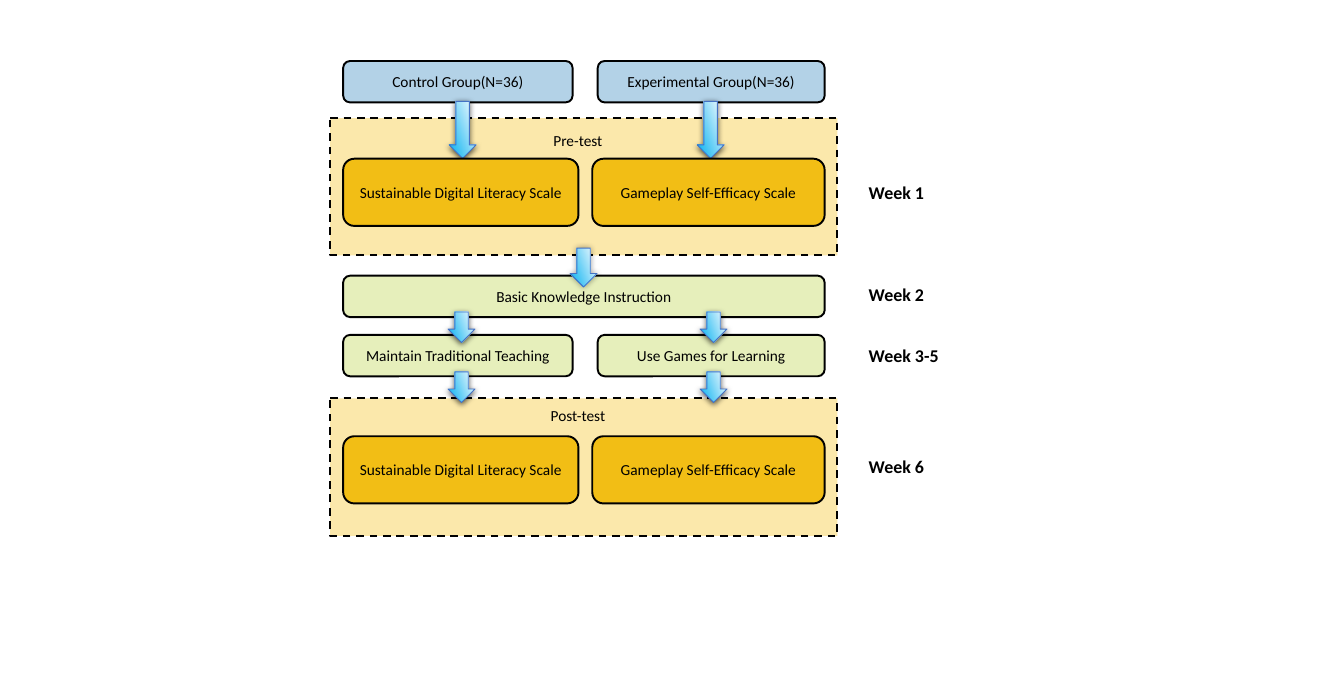
"""Build a slide showing the six-week experimental procedure."""
from dataclasses import dataclass

from lxml.etree import SubElement
from pptx import Presentation
from pptx.dml.color import RGBColor as Rgb
from pptx.enum.dml import MSO_LINE_DASH_STYLE as Dash
from pptx.enum.shapes import MSO_SHAPE as Preset
from pptx.enum.text import MSO_ANCHOR as Anchor, MSO_AUTO_SIZE as AutoSize, PP_ALIGN as Align
from pptx.oxml.ns import qn
from pptx.shapes.autoshape import Shape
from pptx.slide import Slide
from pptx.util import Cm, Pt


@dataclass(frozen=True)
class Theme:
    font: str = "Calibri"
    body_size: int = 12
    week_size: int = 14
    ink: str = "000000"
    group: str = "B3D2E7"
    panel: str = "FBE8AB"
    lesson: str = "E6EFBB"
    scale: str = "F2BE15"
    arrow_start: str = "FFFFFF"
    arrow_end: str = "00B0F0"
    arrow_line: str = "4472C4"


@dataclass(frozen=True)
class Shadow:
    opacity: int
    blur: float
    distance: float
    angle: int


@dataclass(frozen=True)
class Box:
    left: float
    top: float
    width: float
    height: float
    fill: str
    text: str = ""
    is_panel: bool = False


@dataclass(frozen=True)
class Arrow:
    left: float
    top: float
    height: float
    shadow: Shadow


@dataclass(frozen=True)
class Label:
    left: float
    top: float
    width: float
    text: str
    is_week: bool = False


THEME = Theme()
LEFT, RIGHT = 9.45, 22.71
STEP_HEIGHT, SCALE_HEIGHT, PANEL_HEIGHT = 1.14, 1.85, 3.78
ARROW_WIDTH, WEEK_LEFT = 0.74, 23.67
DROP, GLOW = Shadow(63, 4.5, 1.5, 90), Shadow(40, 5, 0, 0)

PANELS = [Box(9.09, top, 13.97, PANEL_HEIGHT, THEME.panel, is_panel=True) for top in (3.25, 10.97)]


def pair(top: float, height: float, widths: tuple[float, float], fill: str,
         texts: tuple[str, str]) -> list[Box]:
    """Return two boxes aligned to the outer edges of the flow."""
    lefts = (LEFT, RIGHT - widths[1])
    return [Box(left, top, width, height, fill, text)
            for left, width, text in zip(lefts, widths, texts)]


STEPS = [
    *pair(1.68, STEP_HEIGHT, (6.32, 6.25), THEME.group,
          ("Control Group(N=36)", "Experimental Group(N=36)")),
    Box(LEFT, 7.59, RIGHT - LEFT, STEP_HEIGHT, THEME.lesson, "Basic Knowledge Instruction"),
    *pair(9.22, STEP_HEIGHT, (6.32, 6.25), THEME.lesson,
          ("Maintain Traditional Teaching", "Use Games for Learning")),
]
SCALES = [box for top in (4.37, 12.01)
          for box in pair(top, SCALE_HEIGHT, (6.48, 6.4), THEME.scale,
                          ("Sustainable Digital Literacy Scale", "Gameplay Self-Efficacy Scale"))]
ARROWS = [
    *(Arrow(left, 2.79, 1.57, DROP) for left in (12.37, 19.2)),
    Arrow(15.7, 6.83, 1.07, GLOW),
    *(Arrow(left, top, 0.84, DROP) for top in (8.59, 10.24) for left in (12.34, 19.28)),
]
LABELS = [
    Label(14.86, 3.48, 2.11, "Pre-test"),
    Label(14.25, 11.05, 3.33, "Post-test"),
    Label(WEEK_LEFT, 4.88, 2.06, "Week 1", True),
    Label(WEEK_LEFT, 7.67, 2.06, "Week 2", True),
    Label(WEEK_LEFT, 9.37, 2.46, "Week 3-5", True),
    Label(WEEK_LEFT, 12.42, 2.06, "Week 6", True),
]


def write_text(shape: Shape, text: str, size: int, align: Align, bold: bool = False) -> None:
    """Fill a shape with one formatted paragraph."""
    para = shape.text_frame.paragraphs[0]
    para.text, para.alignment = text, align
    font = para.font
    font.name, font.size, font.bold = THEME.font, Pt(size), bold
    font.color.rgb = Rgb.from_string(THEME.ink)


def add_box(slide: Slide, box: Box) -> None:
    """Draw a rounded step box or a dashed panel."""
    shape = slide.shapes.add_shape(Preset.ROUNDED_RECTANGLE, Cm(box.left), Cm(box.top),
                                   Cm(box.width), Cm(box.height))
    shape.shadow.inherit = False
    shape.fill.solid()
    shape.fill.fore_color.rgb = Rgb.from_string(box.fill)
    shape.line.color.rgb = Rgb.from_string(THEME.ink)
    shape.line.width = Pt(1.5)
    if box.is_panel:
        shape.adjustments[0] = 0
        shape.line.dash_style = Dash.DASH
    if box.text:
        shape.text_frame.vertical_anchor = Anchor.MIDDLE
        write_text(shape, box.text, THEME.body_size, Align.CENTER)


def add_shadow(shape: Shape, shadow: Shadow) -> None:
    """Give a shape an outer shadow."""
    shape.shadow.inherit = False
    effects = shape.element.spPr.find(qn("a:effectLst"))
    outer = SubElement(effects, qn("a:outerShdw"), blurRad=str(Pt(shadow.blur)),
                       dist=str(Pt(shadow.distance)), dir=str(shadow.angle * 60000),
                       algn="ctr", rotWithShape="0")
    color = SubElement(outer, qn("a:srgbClr"), val=THEME.ink)
    SubElement(color, qn("a:alpha"), val=str(shadow.opacity * 1000))


def add_arrow(slide: Slide, arrow: Arrow) -> None:
    """Draw a shaded block arrow pointing down."""
    shape = slide.shapes.add_shape(Preset.DOWN_ARROW, Cm(arrow.left), Cm(arrow.top),
                                   Cm(ARROW_WIDTH), Cm(arrow.height))
    shape.fill.gradient()
    shape.fill.gradient_angle = 200
    for stop, color in zip(shape.fill.gradient_stops, (THEME.arrow_start, THEME.arrow_end)):
        stop.color.rgb = Rgb.from_string(color)
    shape.line.color.rgb = Rgb.from_string(THEME.arrow_line)
    shape.line.width = Pt(0.75)
    add_shadow(shape, arrow.shadow)


def add_label(slide: Slide, label: Label) -> None:
    """Write a panel heading or a week label."""
    height = 0.86 if label.is_week else 0.76
    shape = slide.shapes.add_textbox(Cm(label.left), Cm(label.top), Cm(label.width), Cm(height))
    shape.text_frame.word_wrap = not label.is_week
    shape.text_frame.auto_size = AutoSize.SHAPE_TO_FIT_TEXT
    size = THEME.week_size if label.is_week else THEME.body_size
    align = Align.LEFT if label.is_week else Align.CENTER
    write_text(shape, label.text, size, align, label.is_week)


def main() -> None:
    """Assemble and save the deck."""
    deck = Presentation()
    deck.slide_width, deck.slide_height = Cm(37.01), Cm(19.05)
    slide = deck.slides.add_slide(deck.slide_layouts[6])
    for box in PANELS + STEPS:
        add_box(slide, box)
    for arrow in ARROWS:
        add_arrow(slide, arrow)
    for box in SCALES:
        add_box(slide, box)
    for label in LABELS:
        add_label(slide, label)
    deck.save("out.pptx")


if __name__ == "__main__":
    main()
